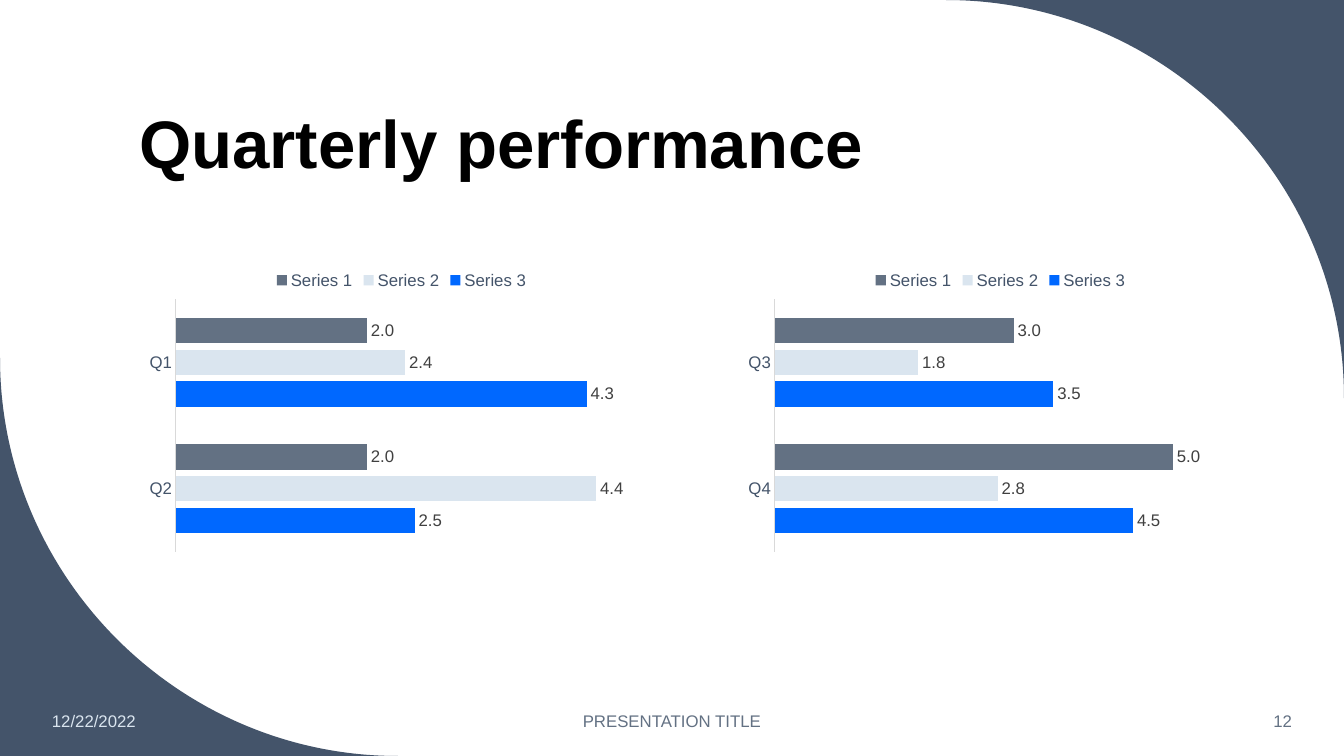
from dataclasses import dataclass

from lxml import etree
from pptx import Presentation
from pptx.chart.data import CategoryChartData
from pptx.dml.color import RGBColor
from pptx.enum.chart import XL_CHART_TYPE, XL_LABEL_POSITION, XL_LEGEND_POSITION, XL_TICK_MARK
from pptx.enum.text import MSO_ANCHOR, MSO_AUTO_SIZE, PP_ALIGN
from pptx.oxml.ns import qn
from pptx.text.text import Font, TextFrame
from pptx.util import Emu, Pt

LEFT, CENTER, RIGHT = PP_ALIGN.LEFT, PP_ALIGN.CENTER, PP_ALIGN.RIGHT
MIDDLE, BOTTOM = MSO_ANCHOR.MIDDLE, MSO_ANCHOR.BOTTOM
NO_AUTOFIT = MSO_AUTO_SIZE.NONE
BAR_CLUSTERED = XL_CHART_TYPE.BAR_CLUSTERED
OUTSIDE_END = XL_LABEL_POSITION.OUTSIDE_END
LEGEND_TOP = XL_LEGEND_POSITION.TOP
NO_TICKS = XL_TICK_MARK.NONE

NAVY = RGBColor(0x44, 0x54, 0x6A)
BLUE = RGBColor(0x00, 0x68, 0xFF)
PALE = RGBColor(0xDA, 0xE5, 0xEF)
SLATE = RGBColor(0x63, 0x71, 0x83)
LABEL_GREY = RGBColor(0x40, 0x40, 0x40)
AXIS_GREY = RGBColor(0xD9, 0xD9, 0xD9)
BLACK = RGBColor(0, 0, 0)

FONT = "Arial"
PX_PER_INCH = 100.8
SLIDE_W, SLIDE_H = 1344, 756
CORNER_RADIUS = 398
ARC_HANDLE = 0.55  # Bezier handle of a quarter circle, as a share of its radius
CHART_TOP, CHART_W, CHART_H = 260, 525, 298
FOOTER_TOP, FOOTER_H = 701, 40

Point = tuple[float, float]


@dataclass(frozen=True)
class Corner:
    tip: Point
    arc_start: Point
    arc_end: Point


@dataclass(frozen=True)
class Series:
    name: str
    color: RGBColor
    number_format: str = "General"


@dataclass(frozen=True)
class QuarterChart:
    left: int
    quarters: tuple[str, ...]
    axis_max: int
    values: tuple[tuple[float, ...], ...]


@dataclass(frozen=True)
class FooterItem:
    text: str
    left: int
    width: int
    align: PP_ALIGN
    color: RGBColor


CORNERS = (
    Corner((SLIDE_W, 0), (SLIDE_W - CORNER_RADIUS, 0), (SLIDE_W, CORNER_RADIUS)),
    Corner((0, SLIDE_H), (CORNER_RADIUS, SLIDE_H), (0, SLIDE_H - CORNER_RADIUS)),
)
# Bars stack upwards, so the last quarter and the last series come first
SERIES = (Series("Series 3", BLUE), Series("Series 2", PALE),
          Series("Series 1", SLATE, "#,##0.0"))
CHARTS = (
    QuarterChart(139, ("Q2", "Q1"), 5, ((2.5, 4.3), (4.4, 2.4), (2, 2))),
    QuarterChart(738, ("Q4", "Q3"), 6, ((4.5, 3.5), (2.8, 1.8), (5, 3))),
)
FOOTER = (
    FooterItem("12/22/2022", 42, 188, LEFT, PALE),
    FooterItem("PRESENTATION TITLE", 445, 454, CENTER, SLATE),
    FooterItem("12", 1119, 183, RIGHT, SLATE),
)


def px(length: float) -> Emu:
    return Emu(round(length * 914400 / PX_PER_INCH))


def format_font(font: Font, color: RGBColor, size: int = 12, bold: bool = False) -> None:
    font.name = FONT
    font.size = Pt(size)
    font.bold = bold
    font.color.rgb = color


def write_text(frame: TextFrame, text: str, *, color: RGBColor, size: int = 12,
               bold: bool = False, align: PP_ALIGN = LEFT,
               anchor: MSO_ANCHOR = MIDDLE, line_spacing: float | None = None) -> None:
    frame.word_wrap = True
    frame.auto_size = NO_AUTOFIT
    frame.vertical_anchor = anchor
    paragraph = frame.paragraphs[0]
    paragraph.alignment = align
    paragraph.line_spacing = line_spacing
    run = paragraph.add_run()
    run.text = text
    format_font(run.font, color, size, bold)


def toward(start: Point, end: Point, share: float) -> Point:
    return tuple(a + (b - a) * share for a, b in zip(start, end))


def draw_corner(slide, corner: Corner) -> None:
    tip, start, end = corner.tip, corner.arc_start, corner.arc_end
    builder = slide.shapes.build_freeform(px(tip[0]), px(tip[1]))
    builder.add_line_segments([(px(x), px(y)) for x, y in (start, end)], close=True)
    shape = builder.convert_to_shape()
    shape.shadow.inherit = False
    shape.fill.solid()
    shape.fill.fore_color.rgb = NAVY
    shape.line.fill.background()

    # Bend the edge between the arc's ends into a quarter circle
    straight_edge = list(shape.element.iter(qn("a:lnTo")))[1]
    curve = etree.Element(qn("a:cubicBezTo"))
    for x, y in (toward(start, tip, ARC_HANDLE), toward(end, tip, ARC_HANDLE), end):
        etree.SubElement(curve, qn("a:pt"), x=str(px(x) - shape.left), y=str(px(y) - shape.top))
    straight_edge.getparent().replace(straight_edge, curve)


def draw_chart(slide, quarter_chart: QuarterChart) -> None:
    data = CategoryChartData()
    data.categories = quarter_chart.quarters
    for series, values in zip(SERIES, quarter_chart.values):
        data.add_series(series.name, values, series.number_format)
    chart = slide.shapes.add_chart(
        BAR_CLUSTERED, px(quarter_chart.left), px(CHART_TOP),
        px(CHART_W), px(CHART_H), data).chart
    chart.has_title = False
    format_font(chart.font, BLACK, 10)

    # Legend and axes
    chart.has_legend = True
    chart.legend.position = LEGEND_TOP
    chart.legend.include_in_layout = False
    format_font(chart.legend.font, NAVY)
    quarters = chart.category_axis
    quarters.major_tick_mark = quarters.minor_tick_mark = NO_TICKS
    quarters.format.line.color.rgb = AXIS_GREY
    quarters.format.line.width = Pt(0.75)
    format_font(quarters.tick_labels.font, NAVY)
    amounts = chart.value_axis
    amounts.minimum_scale = 0
    amounts.maximum_scale = quarter_chart.axis_max
    amounts.has_major_gridlines = False
    amounts.visible = False

    # Bars and their labels
    plot = chart.plots[0]
    plot.gap_width = 150
    plot.overlap = -25
    plot.vary_by_categories = False
    for bars, series in zip(plot.series, SERIES):
        bars.invert_if_negative = False
        bars.format.fill.solid()
        bars.format.fill.fore_color.rgb = series.color
        labels = bars.data_labels
        labels.show_value = True
        labels.position = OUTSIDE_END
        if series.number_format != "General":
            labels.number_format = series.number_format
            labels.number_format_is_linked = False
        format_font(labels.font, LABEL_GREY)


def main() -> None:
    presentation = Presentation()
    presentation.slide_width, presentation.slide_height = px(SLIDE_W), px(SLIDE_H)
    slide = presentation.slides.add_slide(presentation.slide_layouts.get_by_name("Title Only"))

    # Rounded corners
    for corner in CORNERS:
        draw_corner(slide, corner)

    # Title
    title = slide.shapes.title
    title.left, title.top, title.width, title.height = px(129), px(42), px(1078), px(146)
    write_text(title.text_frame, "Quarterly performance", color=BLACK, size=48,
               bold=True, anchor=BOTTOM, line_spacing=0.9)

    # Charts
    for quarter_chart in CHARTS:
        draw_chart(slide, quarter_chart)

    # Footer
    for item in FOOTER:
        box = slide.shapes.add_textbox(px(item.left), px(FOOTER_TOP),
                                       px(item.width), px(FOOTER_H))
        write_text(box.text_frame, item.text, color=item.color, align=item.align)

    presentation.save("out.pptx")


if __name__ == "__main__":
    main()
